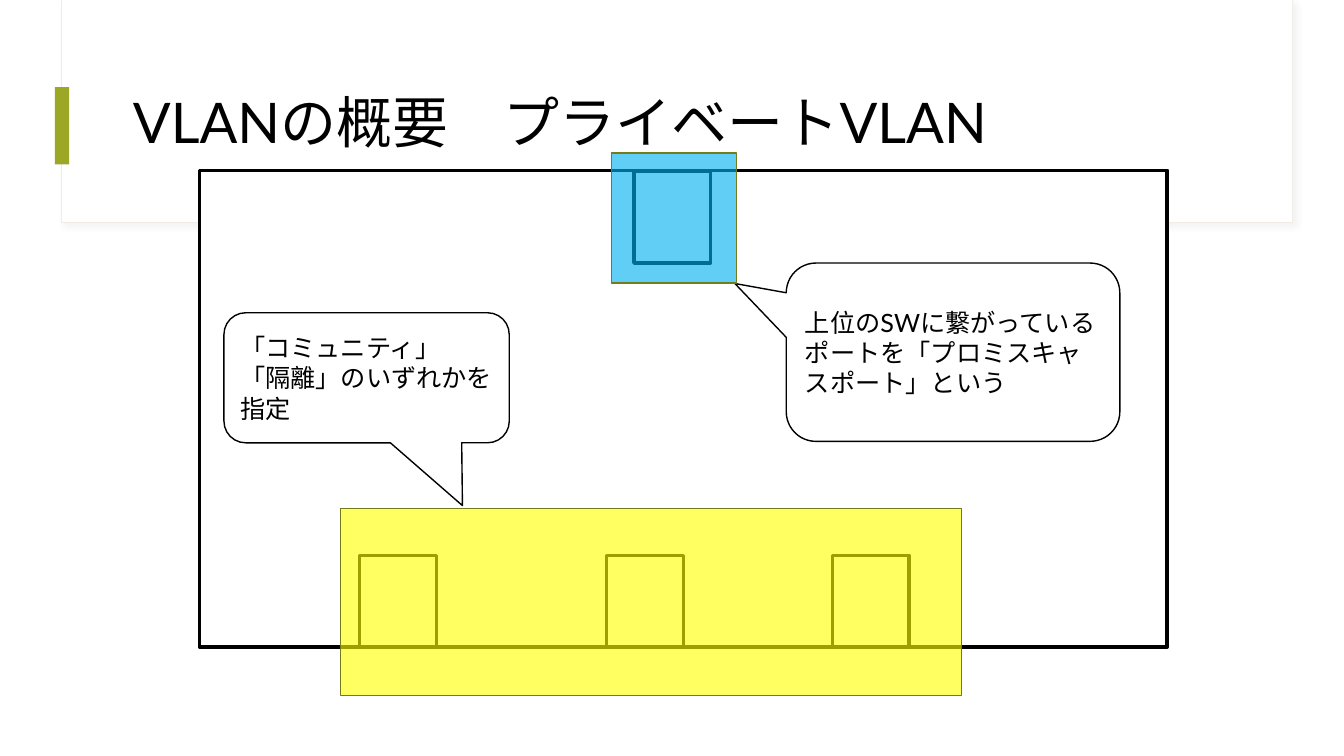
"""Build the slide that explains promiscuous and member ports of a private VLAN."""
from dataclasses import dataclass
from typing import Optional

from lxml.etree import SubElement
from pptx import Presentation
from pptx.dml.color import RGBColor
from pptx.enum.shapes import MSO_SHAPE
from pptx.enum.text import MSO_ANCHOR, MSO_AUTO_SIZE, PP_ALIGN
from pptx.oxml.ns import qn
from pptx.shapes.autoshape import Shape
from pptx.slide import Slide
from pptx.text.text import TextFrame
from pptx.util import Pt

FONT = "Lato"
BLACK = RGBColor(0x00, 0x00, 0x00)
WHITE = RGBColor(0xFF, 0xFF, 0xFF)
BEIGE = RGBColor(0xF0, 0xEC, 0xE5)
GRAY = RGBColor(0xD9, 0xD9, 0xD9)
GREEN = RGBColor(0x9C, 0xA7, 0x26)
OLIVE = RGBColor(0x73, 0x7C, 0x1C)
YELLOW = RGBColor(0xFF, 0xFF, 0x00)
BLUE = RGBColor(0x00, 0xB0, 0xF0)

SWITCH_LEFT, SWITCH_TOP, SWITCH_WIDTH, SWITCH_HEIGHT = 142.6, 121.7, 691.2, 340.5
PORT_WIDTH, PORT_HEIGHT = 54.7, 65.5
UPLINK_LEFT = 452.9
MEMBER_LEFTS = (257, 433.4, 594.7)


@dataclass(frozen=True)
class Box:
    left: float
    top: float
    width: float
    height: float
    fill: Optional[RGBColor] = None
    line: Optional[RGBColor] = None
    weight: float = 1
    opacity: int = 100


@dataclass(frozen=True)
class Callout:
    box: Box
    pointer: tuple[float, float]
    paragraphs: tuple[str, ...]


HEADER = Box(43.9, 0, 879.1, 159.1, WHITE, BEIGE, 0.75)
HEADER_FRONT = (
    Box(44.6, 0, 878.4, 158.4, WHITE),
    Box(39.3, 62.2, 10.1, 55.3, GREEN),
)
SWITCH = Box(SWITCH_LEFT, SWITCH_TOP, SWITCH_WIDTH, SWITCH_HEIGHT, WHITE, BLACK, 2.5)
UPLINK_CALLOUT = Callout(
    Box(561.6, 187.9, 238.3, 127.4, WHITE, BLACK),
    (-0.654, -0.385),
    ("上位のSWに繋がっているポートを「プロミスキャスポート」という",),
)
MEMBER_CALLOUT = Callout(
    Box(160, 223.4, 203.8, 92.9, WHITE, BLACK),
    (0.336, 0.983),
    ("「コミュニティ」", "「隔離」のいずれかを指定"),
)
MEMBER_HIGHLIGHT = Box(243.2, 363.2, 443.5, 133.6, YELLOW, OLIVE, 1, 62)
UPLINK_HIGHLIGHT = Box(436.9, 109.3, 89.3, 92.9, BLUE, OLIVE, 1, 62)


def draw_box(page: Slide, box: Box, kind: MSO_SHAPE = MSO_SHAPE.RECTANGLE) -> Shape:
    """Draw a preset shape with the fill and line of the box."""
    shape = page.shapes.add_shape(
        kind, Pt(box.left), Pt(box.top), Pt(box.width), Pt(box.height)
    )
    shape.shadow.inherit = False
    if box.fill is None:
        shape.fill.background()
    else:
        shape.fill.solid()
        shape.fill.fore_color.rgb = box.fill
    if box.opacity < 100:
        color = shape.fill._xPr.find(qn("a:solidFill"))[0]
        SubElement(color, qn("a:alpha"), val=str(box.opacity * 1000))
    if box.line is None:
        shape.line.fill.background()
    else:
        shape.line.color.rgb = box.line
        shape.line.width = Pt(box.weight)
    return shape


def add_shadow(shape: Shape, color: RGBColor, opacity: int) -> None:
    """Cast a soft shadow to the lower right of the shape."""
    effects = shape.element.spPr.find(qn("a:effectLst"))
    shadow = SubElement(
        effects, qn("a:outerShdw"), blurRad=str(Pt(4)), dist=str(Pt(3)),
        dir=str(45 * 60000), algn="tl", rotWithShape="0",
    )
    tone = SubElement(shadow, qn("a:srgbClr"), val=str(color))
    SubElement(tone, qn("a:alpha"), val=str(opacity * 1000))


def write_text(
    frame: TextFrame, paragraphs: tuple[str, ...], *, size: float, spacing: float = 1
) -> None:
    """Fill a frame with left-aligned, vertically centred paragraphs."""
    frame.word_wrap = True
    frame.auto_size = MSO_AUTO_SIZE.NONE
    frame.vertical_anchor = MSO_ANCHOR.MIDDLE
    for index, text in enumerate(paragraphs):
        paragraph = frame.add_paragraph() if index else frame.paragraphs[0]
        paragraph.alignment = PP_ALIGN.LEFT
        paragraph.line_spacing = spacing
        span = paragraph.add_run()
        span.text = text
        span.font.name = FONT
        span.font.size = Pt(size)
        span.font.color.rgb = BLACK


def draw_callout(page: Slide, callout: Callout) -> None:
    """Draw a rounded speech bubble with its text."""
    shape = draw_box(page, callout.box, MSO_SHAPE.ROUNDED_RECTANGULAR_CALLOUT)
    shape.adjustments[0], shape.adjustments[1] = callout.pointer
    write_text(shape.text_frame, callout.paragraphs, size=18)


def draw_port(page: Slide, left: float, top: float) -> None:
    """Draw one port outline of the switch."""
    draw_box(page, Box(left, top, PORT_WIDTH, PORT_HEIGHT, None, BLACK, 2.5))


def draw_header(page: Slide) -> None:
    """Draw the header panel and place the title on it."""
    add_shadow(draw_box(page, HEADER), GRAY, 30)
    for box in HEADER_FRONT:
        draw_box(page, box)
    title = page.shapes.title
    title.left, title.top, title.width, title.height = Pt(87.8), Pt(43.2), Pt(800.6), Pt(92.9)
    title.element.getparent().append(title.element)
    write_text(title.text_frame, ("VLANの概要　プライベートVLAN",), size=40, spacing=0.9)


def build() -> None:
    """Create the deck and save it."""
    deck = Presentation()
    deck.slide_width, deck.slide_height = Pt(960), Pt(540)
    page = deck.slides.add_slide(deck.slide_layouts.get_by_name("Title Only"))
    draw_header(page)
    draw_box(page, SWITCH)
    draw_port(page, UPLINK_LEFT, SWITCH_TOP + 0.7)
    for left in MEMBER_LEFTS:
        draw_port(page, left, SWITCH_TOP + SWITCH_HEIGHT - PORT_HEIGHT)
    draw_callout(page, UPLINK_CALLOUT)
    draw_box(page, MEMBER_HIGHLIGHT)
    draw_callout(page, MEMBER_CALLOUT)
    draw_box(page, UPLINK_HIGHLIGHT)
    deck.save("out.pptx")


build()
